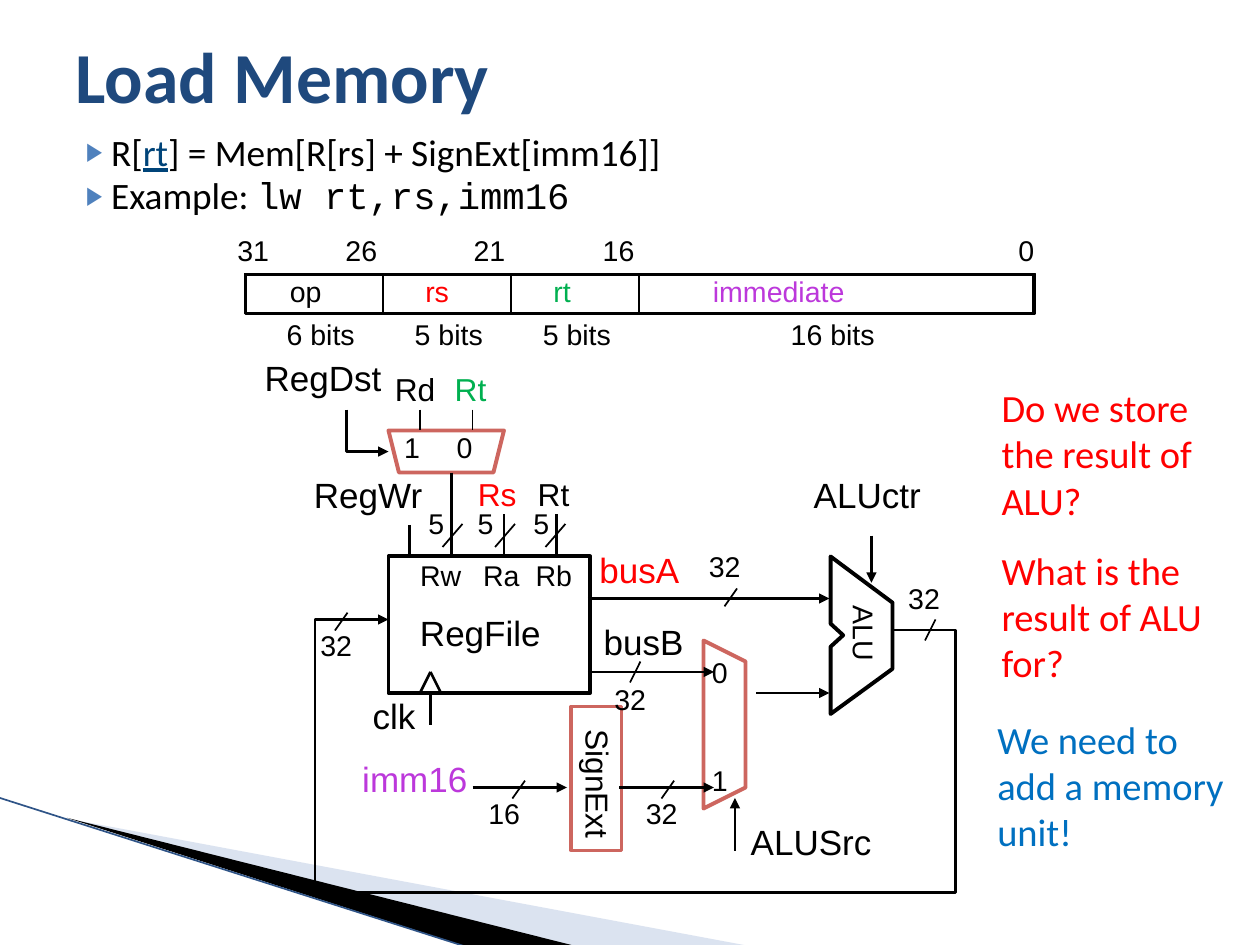
import pptx
import pptx.dml.color
import pptx.enum.shapes
import pptx.enum.text
import pptx.oxml
import pptx.oxml.ns
import pptx.util
from lxml import etree

BLACK, RED, GREEN, PURPLE = "000000", "FF0000", "00B050", "BC38DB"
BLUE, NAVY, BRICK = "0070C0", "1F497D", "CD665F"
SMALL, MEDIUM, LARGE = 16.3, 18.1, 20


def colour(hex_code):
    return pptx.dml.color.RGBColor.from_string(hex_code)


def unit(count):
    """Columns or rows of the 120 by 90 grid, as a length."""
    return pptx.util.Inches(count / 12)


def add_xml(parent, tag, **attributes):
    return etree.SubElement(parent, pptx.oxml.ns.qn(tag), attributes)


class Diagram:
    """Places elements on one slide; all positions are grid columns and rows."""

    def __init__(self, slide):
        self.shapes = slide.shapes
        self.label_font, self.prose_font, self.code_font = "Arial", "Calibri", "Courier New"

    def style_run(self, run, size, hex_code, font=None):
        run.font.name = font or self.label_font
        run.font.size = pptx.util.Pt(size)
        run.font.color.rgb = colour(hex_code)

    def title(self, text, left, top, width, height):
        box = self.shapes.title
        box.left, box.top, box.width, box.height = map(unit, (left, top, width, height))
        frame = box.text_frame
        frame.text = text
        frame.vertical_anchor = pptx.enum.text.MSO_ANCHOR.MIDDLE
        frame.paragraphs[0].alignment = pptx.enum.text.PP_ALIGN.LEFT
        run = frame.paragraphs[0].runs[0]
        self.style_run(run, 41, NAVY, self.prose_font)
        run.font.bold = True

    def bullets(self, items, left, top, width, height):
        """Each item is a list of (text, colour, font) runs."""
        frame = self.shapes.add_textbox(*map(unit, (left, top, width, height))).text_frame
        frame.word_wrap = True
        for index, item in enumerate(items):
            paragraph = frame.add_paragraph() if index else frame.paragraphs[0]
            paragraph.line_spacing = 0.9
            paragraph.space_before = pptx.util.Pt(1.8 if index else 0)
            properties = paragraph._p.get_or_add_pPr()
            properties.set("marL", str(pptx.util.Inches(0.28)))
            properties.set("indent", str(pptx.util.Inches(-0.2)))
            add_xml(add_xml(properties, "a:buClr"), "a:srgbClr", val="4F81BD")
            add_xml(properties, "a:buSzPct", val="68000")
            add_xml(properties, "a:buFont", typeface="Arial")
            add_xml(properties, "a:buChar", char="▶")
            for text, hex_code, font in item:
                run = paragraph.add_run()
                run.text = text
                self.style_run(run, 21.3, hex_code, font)
                run.font.underline = hex_code != BLACK

    def label(self, text, left, top, width, size=SMALL, hex_code=BLACK, turn=0):
        height = size * 0.238
        box = self.shapes.add_textbox(*map(unit, (left, top, width, height)))
        box.rotation = turn
        frame = box.text_frame
        frame.text = text
        frame.word_wrap = False
        frame.auto_size = pptx.enum.text.MSO_AUTO_SIZE.NONE
        frame.margin_left = frame.margin_top = frame.margin_bottom = unit(0.5)
        frame.margin_right = 0
        frame.paragraphs[0].line_spacing = 0.93
        self.style_run(frame.paragraphs[0].runs[0], size, hex_code)

    def remark(self, text, left, top, hex_code):
        frame = self.shapes.add_textbox(*map(unit, (left, top, 24.1, 14.5))).text_frame
        frame.text = text
        frame.word_wrap = True
        self.style_run(frame.paragraphs[0].runs[0], 22, hex_code, self.prose_font)

    def stroke(self, shape, weight, hex_code, arrow=False):
        shape.line.color.rgb = colour(hex_code)
        shape.line.width = pptx.util.Pt(weight)
        if arrow:
            outline = shape._element.spPr.find(pptx.oxml.ns.qn("a:ln"))
            add_xml(outline, "a:tailEnd", type="triangle")

    def box(self, left, top, width, height, weight, hex_code=BLACK):
        shape = self.shapes.add_shape(pptx.enum.shapes.MSO_SHAPE.RECTANGLE,
                                      *map(unit, (left, top, width, height)))
        shape.shadow.inherit = False
        shape.fill.background()
        self.stroke(shape, weight, hex_code)

    def wire(self, x1, y1, x2, y2, weight=1.5, hex_code=BLACK, arrow=False):
        line = self.shapes.add_connector(pptx.enum.shapes.MSO_CONNECTOR.STRAIGHT,
                                         *map(unit, (x1, y1, x2, y2)))
        self.stroke(line, weight, hex_code, arrow)
        add_xml(line._element.spPr, "a:effectLst")

    def slash(self, x, y, width=1.2, height=1.7):
        """Bus-width mark centred on a wire."""
        self.wire(x - width / 2, y + height / 2, x + width / 2, y - height / 2, 1)

    def outline(self, points, closed=True):
        points = [(unit(x), unit(y)) for x, y in points]
        builder = self.shapes.build_freeform(*points[0], scale=1.0)
        builder.add_line_segments(points[1:], close=closed)
        shape = builder.convert_to_shape()
        shape.shadow.inherit = False
        shape.fill.background()
        return shape

    def wedge(self, points, hex_code, opacity=100):
        shape = self.outline(points)
        shape.fill.solid()
        shape.fill.fore_color.rgb = colour(hex_code)
        shape.line.fill.background()
        tint = shape._element.spPr.find(".//" + pptx.oxml.ns.qn("a:srgbClr"))
        add_xml(tint, "a:alpha", val=str(opacity * 1000))


def draw_instruction_format(diagram):
    diagram.box(23.4, 26.15, 75.1, 3.7, 2)
    # name, colour, left, width, name offset and width, high bit and offset, size, offset, width
    fields = [
        ("op", BLACK, 23.3, 13.2, 3.8, 4, "31", -1.2, "6 bits", 3.5, 7.4),
        ("rs", RED, 36.5, 12.2, 3.5, 3.2, "26", -4.1, "5 bits", 2.5, 7.4),
        ("rt", GREEN, 48.7, 12.2, 3.5, 2.6, "21", -4.1, "5 bits", 2.5, 7.4),
        ("immediate", PURPLE, 60.9, 37.7, 6.5, 13.7, "16", -4, "16 bits", 13.9, 9),
    ]
    for (name, hue, left, width, name_shift, name_width,
         bit, bit_shift, size, size_shift, size_width) in fields:
        diagram.box(left, 26.05, width, 3.8, 1)
        diagram.label(name, left + name_shift, 25.9, name_width, hex_code=hue)
        diagram.label(bit, left + bit_shift, 22, 4)
        diagram.label(size, left + size_shift, 30, size_width)
    diagram.label("0", 96.5, 22, 2.4)


def draw_datapath(diagram):
    diagram.box(37, 53, 19.2, 13, 2.25)
    diagram.box(54.4, 67.3, 4.8, 13.7, 2, BRICK)
    register_mux = [(37, 41), (38, 45), (47, 45), (48, 41)]
    source_mux = [(67, 61), (67, 77), (71, 75), (71, 63)]
    alu = [(79.1, 53), (79.1, 59.4), (80.3, 60.5), (79.1, 61.6),
           (79.1, 68), (85, 63.7), (85, 57.4)]
    for points, hue in ((register_mux, BRICK), (source_mux, BRICK), (alu, BLACK)):
        diagram.stroke(diagram.outline(points), 2.25, hue)
    select_path = [(33, 39), (33, 43), (37, 43)]
    write_back = [(85, 60), (91, 60), (91, 85), (30, 85), (30, 59), (37, 59)]
    for points in (select_path, write_back):
        diagram.stroke(diagram.outline(points, closed=False), 1.5, BLACK, arrow=True)

    for x in (40, 45):
        diagram.wire(x, 39, x, 41, 1)
    for x, top in ((39, 50), (43, 45), (48, 49), (53, 49)):
        diagram.wire(x, top, x, 53)
    clock = [(41, 64, 40, 66), (41, 64, 42, 66), (41, 66, 41, 69)]
    for ends in clock:
        diagram.wire(*ends)
    signals = [(56, 57, 79, 57), (83, 51, 83, 55.5), (56, 64, 68, 64), (72, 66, 79, 66),
               (59, 75, 68, 75), (45, 75, 54, 75), (70, 81, 70, 76)]
    for ends in signals:
        diagram.wire(*ends, arrow=True)

    for x in (43.1, 48.1, 52.9):
        diagram.slash(x, 51, 1.9, 2.2)
    for x, y in ((32.5, 59.2), (69.6, 56.9), (63.6, 75.2), (49.4, 75.2)):
        diagram.slash(x, y)
    for x, y in ((60.5, 64), (88.6, 60)):
        diagram.slash(x, y, 1, 2)

    for x, y in ((86, 55.1), (30, 59.6), (67, 52.1), (58, 64.7), (61, 75.6)):
        diagram.label("32", x, y, 4)
    diagram.label("16", 46, 75.6, 4)
    for x in (40.3, 45, 50.3):
        diagram.label("5", x, 48, 2.4)
    for digit, x, y in (("1", 38, 40.7), ("0", 43, 40.7), ("0", 67.3, 62.2), ("1", 67.3, 72.5)):
        diagram.label(digit, x, y, 2.4)
    for port, x, width in (("Rw", 39.5, 4.9), ("Ra", 45.5, 4.4), ("Rb", 50.5, 4.4)):
        diagram.label(port, x, 52.9, width)
    registers = [("Rd", 37.1, 35, 4.8, BLACK), ("Rt", 42.8, 35, 4, GREEN),
                 ("Rs", 45, 45, 4.7, RED), ("Rt", 50.7, 45, 4, BLACK)]
    for name, x, y, width, hue in registers:
        diagram.label(name, x, y, width, MEDIUM, hue)
    names = [("RegDst", 24.7, 33.8, 12.1, BLACK), ("RegWr", 29.4, 45, 11.3, BLACK),
             ("ALUctr", 77, 45, 13.8, BLACK), ("clk", 35, 66, 5, BLACK),
             ("busA", 56.6, 52.1, 8.6, RED), ("busB", 57, 59, 8.6, BLACK),
             ("RegFile", 39.5, 58.1, 12.5, BLACK), ("imm16", 34, 72, 11, PURPLE),
             ("ALUSrc", 71, 78, 12.5, BLACK)]
    for name, x, y, width, hue in names:
        diagram.label(name, x, y, width, LARGE, hue)
    diagram.label("SignExt", 51.1, 72.5, 11.4, MEDIUM, turn=90)
    diagram.label("ALU", 79.1, 58.3, 6.2, turn=90)


def main():
    deck = pptx.Presentation()
    deck.slide_width, deck.slide_height = unit(120), unit(90)
    diagram = Diagram(deck.slides.add_slide(deck.slide_layouts[5]))
    diagram.wedge([(6.6, 78), (71.4, 90.1), (54.7, 90.1)], "A7B9DB", 40)
    diagram.wedge([(6.4, 77.9), (54.8, 90.1), (44.6, 90.2)], BLACK)
    diagram.wire(0, 76, 44.5, 90.2, 0.95, "2F5487")
    diagram.title("Load Memory", 6, -0.4, 108, 15)
    prose = diagram.prose_font
    diagram.bullets([
        [("R[", BLACK, prose), ("rt", "004479", prose),
         ("] = Mem[R[rs] + SignExt[imm16]]", BLACK, prose)],
        [("Example: ", BLACK, prose), ("lw rt,rs,imm16", BLACK, diagram.code_font)],
    ], 6.05, 12.2, 108, 11)
    draw_instruction_format(diagram)
    draw_datapath(diagram)
    diagram.remark("Do we store the result of ALU?", 94.2, 36, RED)
    diagram.remark("What is the result of ALU for?", 94.2, 51.5, RED)
    diagram.remark("We need to add a memory unit!", 93.8, 67.6, BLUE)
    deck.save("out.pptx")


if __name__ == "__main__":
    main()
